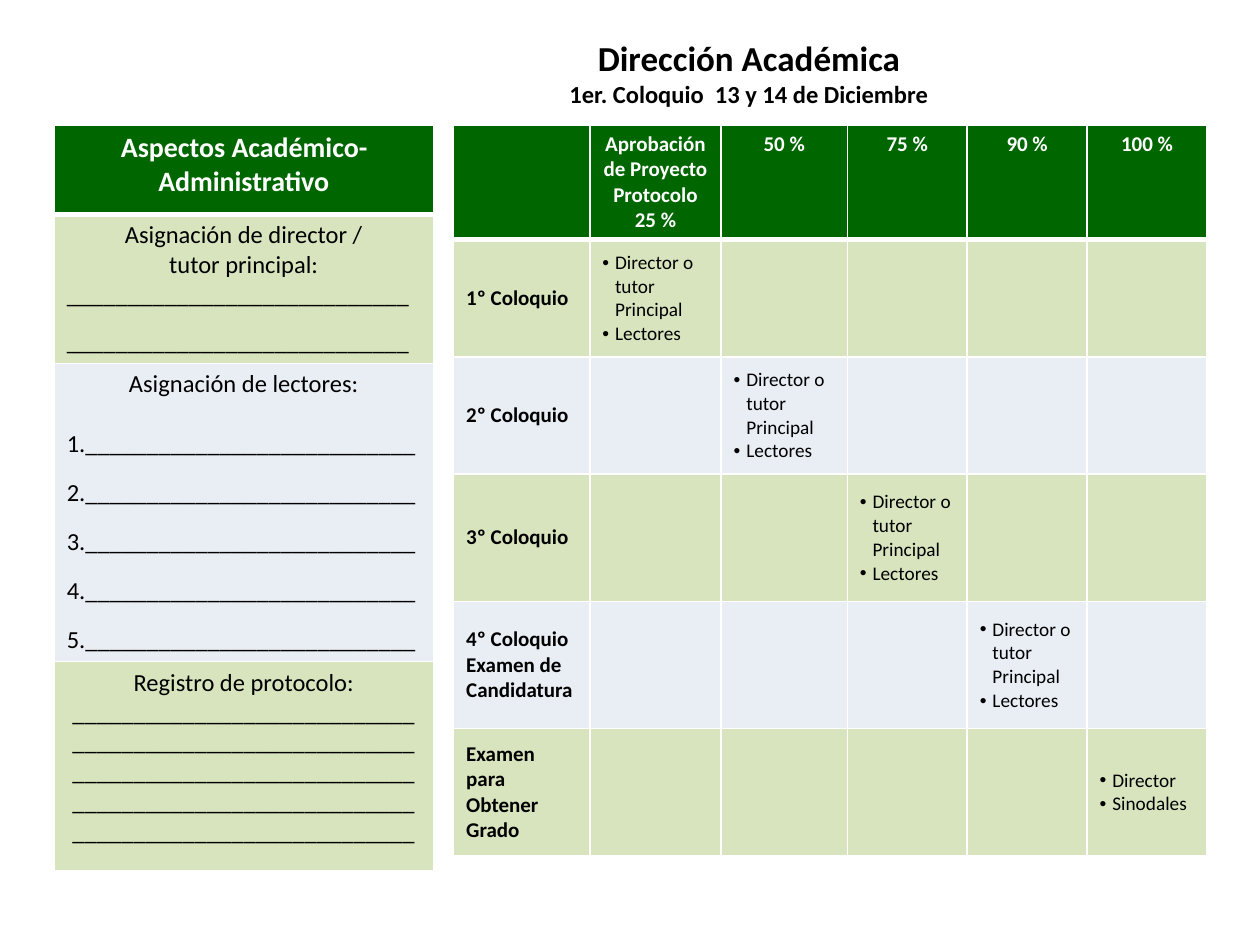
from lxml import etree
from pptx import Presentation
from pptx import util as u
from pptx.dml.color import RGBColor
from pptx.enum import text
from pptx.oxml import ns

COLORS = {
    "header": "006600",
    "odd": "D7E4BD",
    "even": "E9EDF4",
    "white": "FFFFFF",
    "black": "000000",
}
FONT = "Calibri"
CENTER, LEFT = text.PP_ALIGN.CENTER, text.PP_ALIGN.LEFT
MIDDLE, TOP = text.MSO_ANCHOR.MIDDLE, text.MSO_ANCHOR.TOP


def color(name):
    return RGBColor.from_string(COLORS[name])


def add_bullet(para):
    properties = para._p.get_or_add_pPr()
    properties.set("marL", str(u.Inches(0.1)))
    properties.set("indent", str(u.Inches(-0.1)))
    etree.SubElement(properties, ns.qn("a:buFont"), typeface="Arial")
    etree.SubElement(properties, ns.qn("a:buChar"), char="•")


def write(frame, wording, size=12, bold=False, ink="black", align=LEFT,
          bullet=False, gap=0, more=False):
    for index, line in enumerate(wording.split("\n")):
        first = index == 0 and not more
        para = frame.paragraphs[0] if first else frame.add_paragraph()
        para.alignment = align
        if gap and not first:
            para.space_before = u.Pt(gap)
        if bullet:
            add_bullet(para)
        span = para.add_run()
        span.text = line
        span.font.name = FONT
        span.font.size = u.Pt(size)
        span.font.bold = bold
        span.font.color.rgb = color(ink)


def style_cell(cell, row):
    properties = cell._tc.get_or_add_tcPr()
    for side in "LRTB":
        heavy = (row == 0 and side == "B") or (row == 1 and side == "T")
        line = etree.SubElement(properties, ns.qn(f"a:ln{side}"),
                                w=str(u.Pt(3 if heavy else 1)))
        fill = etree.SubElement(line, ns.qn("a:solidFill"))
        etree.SubElement(fill, ns.qn("a:srgbClr"), val=COLORS["white"])
    cell.fill.solid()
    cell.fill.fore_color.rgb = color("header" if row == 0 else "odd" if row % 2 else "even")
    cell.vertical_anchor = TOP


def place(deck, box):
    sides = (deck.slide_width, deck.slide_height) * 2
    return [round(share * side) for share, side in zip(box, sides)]


def add_grid(deck, page, box, columns, rows):
    left, top, width, height = place(deck, box)
    table = page.shapes.add_table(len(rows), len(columns), left, top, width, height).table
    for column, share in zip(table.columns, columns):
        column.width = round(width * share / sum(columns))
    for row, share in zip(table.rows, rows):
        row.height = round(height * share / sum(rows))
    for row in range(len(rows)):
        for column in range(len(columns)):
            style_cell(table.cell(row, column), row)
    return table


def heading(deck, page, box, wording, size):
    frame = page.shapes.add_textbox(*place(deck, box)).text_frame
    frame.word_wrap = True
    write(frame, wording, size=size, bold=True, align=CENTER)


def progress_table(deck, page, box):
    table = add_grid(deck, page, box, (108, 104, 100, 95, 95, 95), (90, 93, 93, 101, 101, 101))
    stages = ("Aprobación de Proyecto\nProtocolo 25 %", "50 %", "75 %", "90 %", "100 %")
    steps = ("1º Coloquio", "2º Coloquio", "3º Coloquio",
             "4º Coloquio\nExamen de Candidatura", "Examen para Obtener Grado")
    for index, (stage, step) in enumerate(zip(stages, steps), start=1):
        last = index == len(steps)
        people = "Director\nSinodales" if last else "Director o tutor Principal\nLectores"
        write(table.cell(0, index).text_frame, stage, bold=True, ink="white", align=CENTER)
        label, reviewers = table.cell(index, 0), table.cell(index, index)
        label.vertical_anchor = reviewers.vertical_anchor = MIDDLE
        write(label.text_frame, step, bold=True)
        write(reviewers.text_frame, people, size=11, bullet=True)


def form_table(deck, page, box):
    table = add_grid(deck, page, box, (1,), (71, 117, 236, 166))
    title, director, readers, protocol = [table.cell(row, 0).text_frame for row in range(4)]
    blank = "_" * 28
    write(title, "Aspectos Académico-Administrativo", size=16, bold=True, ink="white", align=CENTER)
    write(director, "Asignación de director /\ntutor principal:", size=14, align=CENTER)
    write(director, blank, size=14, more=True)
    write(director, blank, size=14, gap=9.8, more=True)
    write(readers, "Asignación de lectores:", size=14, align=CENTER)
    for number in range(1, 6):
        write(readers, f"{number}.{'_' * 27}", size=14, gap=17 if number == 1 else 11, more=True)
    write(protocol, "Registro de protocolo:", size=14, align=CENTER)
    write(protocol, blank * 5, size=14, align=CENTER, more=True)


def main():
    deck = Presentation()
    deck.slide_width, deck.slide_height = u.Inches(10), u.Inches(7.5)
    page = deck.slides.add_slide(deck.slide_layouts[6])
    progress_table(deck, page, (0.36, 0.132, 0.598, 0.772))
    form_table(deck, page, (0.043, 0.132, 0.301, 0.787))
    heading(deck, page, (0.236, 0.032, 0.717, 0.058), "Dirección Académica", 20)
    heading(deck, page, (0.236, 0.077, 0.717, 0.045), "1er. Coloquio  13 y 14 de Diciembre", 14)
    deck.save("out.pptx")


if __name__ == "__main__":
    main()
